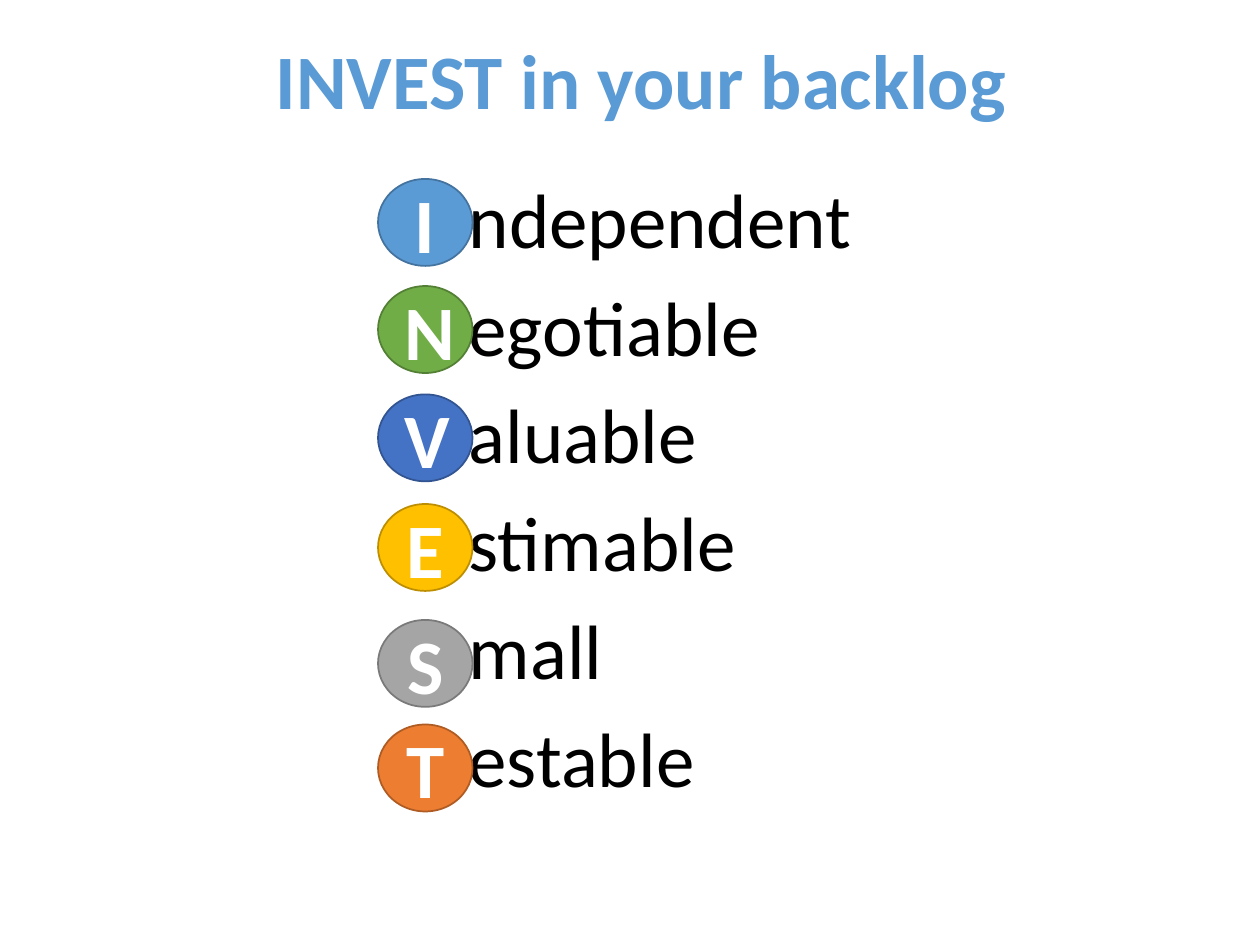
from lxml.etree import SubElement
from pptx import Presentation
from pptx.dml.color import RGBColor
from pptx.enum.shapes import MSO_SHAPE as Shape
from pptx.enum.text import MSO_ANCHOR as Anchor, MSO_AUTO_SIZE as AutoSize, PP_ALIGN as Align
from pptx.oxml.ns import qn
from pptx.util import Pt

COLORS = {"title": "5B9BD5", "body": "000000", "letter": "FFFFFF"}

# letter, rest of the word, circle top, fill, line
ROWS = [
    ("I", "ndependent", 102.24, "5B9BD5", "43739E"),
    ("N", "egotiable", 163.44, "70AD47", "538035"),
    ("V", "aluable", 225.36, "4472C4", "325491"),
    ("E", "stimable", 288, "FFC000", "BD8E00"),
    ("S", "mall", 354.24, "A5A5A5", "7A7A7A"),
    ("T", "estable", 414, "ED7D31", "AF5C24"),
]


def write(paragraph, text, color, bold=False, align=Align.LEFT, size=44):
    paragraph.alignment = align
    run = paragraph.add_run()
    run.text = text
    font = run.font
    font.name, font.size, font.bold = "Calibri", Pt(size), bold
    font.color.rgb = RGBColor.from_string(color)


def place(shape, left, top, width, height):
    """Move a placeholder and start its text at the top at full size."""
    shape.left, shape.top = Pt(left), Pt(top)
    shape.width, shape.height = Pt(width), Pt(height)
    frame = shape.text_frame
    frame.vertical_anchor = Anchor.TOP
    frame.auto_size = AutoSize.NONE
    frame.word_wrap = True
    return frame


def remove_bullet(paragraph):
    properties = paragraph._p.get_or_add_pPr()
    properties.set("marL", "0")
    properties.set("indent", "0")
    SubElement(properties, qn("a:buNone"))


def add_title(slide, text):
    frame = place(slide.shapes.title, 66.24, 15.12, 600.48, 56.88)
    write(frame.paragraphs[0], text, COLORS["title"], bold=True, align=Align.CENTER)


def add_word_list(slide, words):
    frame = place(slide.placeholders[1], 260.64, 94.32, 267.12, 385.92)
    for index, word in enumerate(words):
        paragraph = frame.add_paragraph() if index else frame.paragraphs[0]
        write(paragraph, word, COLORS["body"])
        remove_bullet(paragraph)


def add_letter_circle(slide, letter, top, fill, line):
    circle = slide.shapes.add_shape(Shape.OVAL, Pt(216), Pt(top), Pt(54), Pt(49.68))
    circle.shadow.inherit = False
    circle.fill.solid()
    circle.fill.fore_color.rgb = RGBColor.from_string(fill)
    circle.line.color.rgb = RGBColor.from_string(line)
    circle.line.width = Pt(1)
    frame = circle.text_frame
    frame.vertical_anchor = Anchor.MIDDLE
    write(frame.paragraphs[0], letter, COLORS["letter"], bold=True, align=Align.CENTER)


def main():
    presentation = Presentation()
    presentation.slide_width, presentation.slide_height = Pt(720), Pt(540)
    slide = presentation.slides.add_slide(presentation.slide_layouts[1])
    add_title(slide, "INVEST in your backlog")
    add_word_list(slide, [row[1] for row in ROWS])
    for letter, _, top, fill, line in ROWS:
        add_letter_circle(slide, letter, top, fill, line)
    presentation.save("out.pptx")


if __name__ == "__main__":
    main()
